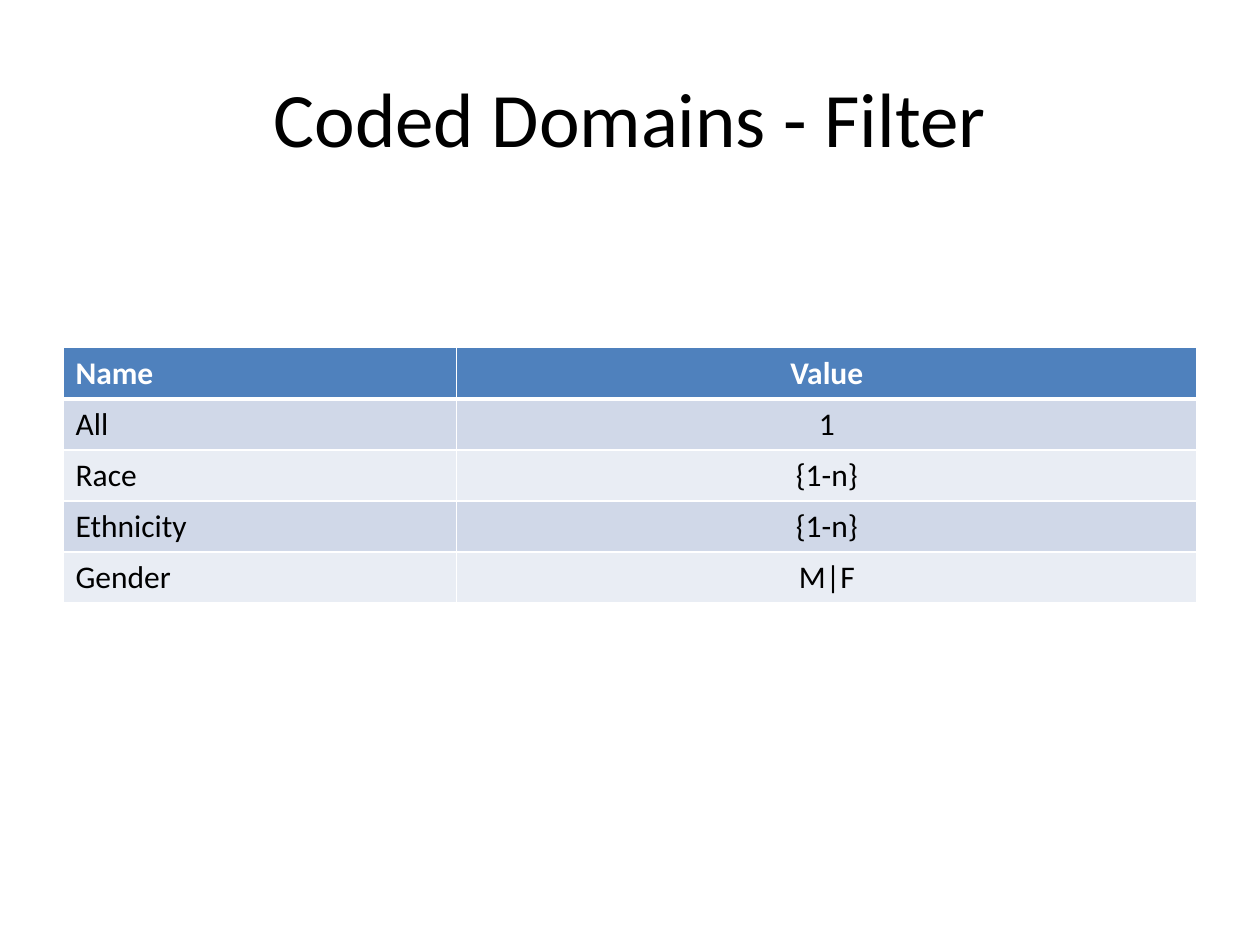
from lxml.etree import SubElement
from pptx import Presentation
from pptx.dml.color import RGBColor
from pptx.enum.text import MSO_ANCHOR as Anchor, PP_ALIGN as Align
from pptx.oxml.ns import qn
from pptx.util import Pt

COLORS = {
    "text": "000000",
    "header_text": "FFFFFF",
    "border": "FFFFFF",
    "header": "4F81BD",
    "odd_row": "D0D8E8",
    "even_row": "E9EDF4",
}
FONT = "Calibri"
TITLE_BOX = (36, 21.6, 648, 90)
TABLE_BOX = (36, 198.72, 648, 146)
NAME_SHARE = 0.35
DOMAINS = [
    ("Name", "Value"),
    ("All", "1"),
    ("Race", "{1-n}"),
    ("Ethnicity", "{1-n}"),
    ("Gender", "M|F"),
]


def add_text(frame, text, size, color, align, bold=False):
    para = frame.paragraphs[0]
    para.alignment = align
    span = para.add_run()
    span.text = text
    span.font.name = FONT
    span.font.size = Pt(size)
    span.font.bold = bold
    span.font.color.rgb = RGBColor.from_string(COLORS[color])


def add_border(cell, side, width):
    line = SubElement(cell._tc.get_or_add_tcPr(), qn(f"a:{side}"), w=str(Pt(width)))
    fill = SubElement(line, qn("a:solidFill"))
    SubElement(fill, qn("a:srgbClr"), val=COLORS["border"])


def add_title(page, box, text):
    frame = page.shapes.add_textbox(*map(Pt, box)).text_frame
    frame.word_wrap = True
    frame.vertical_anchor = Anchor.MIDDLE
    add_text(frame, text, 44, "text", Align.CENTER)


def style_cell(cell, row, column, text):
    top = 3 if row == 1 else 1
    bottom = 3 if row == 0 else 1
    for side, width in (("lnL", 1), ("lnR", 1), ("lnT", top), ("lnB", bottom)):
        add_border(cell, side, width)
    header = row == 0
    fill = "header" if header else "odd_row" if row % 2 else "even_row"
    cell.fill.solid()
    cell.fill.fore_color.rgb = RGBColor.from_string(COLORS[fill])
    align = Align.CENTER if column else Align.LEFT
    color = "header_text" if header else "text"
    add_text(cell.text_frame, text, 18, color, align, header)


def add_domain_table(page, box, rows):
    width, height = box[2:]
    table = page.shapes.add_table(len(rows), 2, *map(Pt, box)).table
    name_width = round(width * NAME_SHARE) - 2
    table.columns[0].width = Pt(name_width)
    table.columns[1].width = Pt(width - name_width)
    for row, values in enumerate(rows):
        table.rows[row].height = Pt(height / len(rows))
        for column, text in enumerate(values):
            style_cell(table.cell(row, column), row, column, text)


def main():
    deck = Presentation()
    deck.slide_width, deck.slide_height = Pt(720), Pt(540)
    page = deck.slides.add_slide(deck.slide_layouts[6])
    add_title(page, TITLE_BOX, "Coded Domains - Filter")
    add_domain_table(page, TABLE_BOX, DOMAINS)
    deck.save("out.pptx")


if __name__ == "__main__":
    main()
